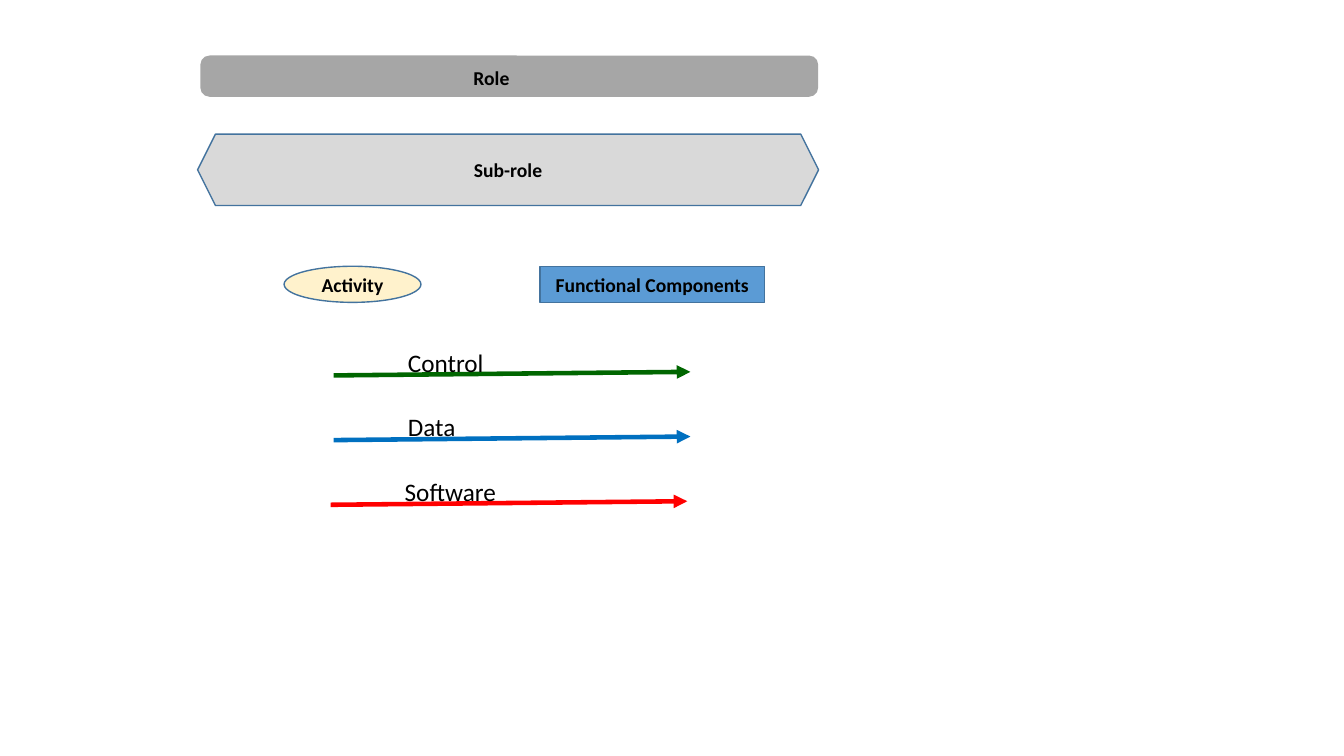
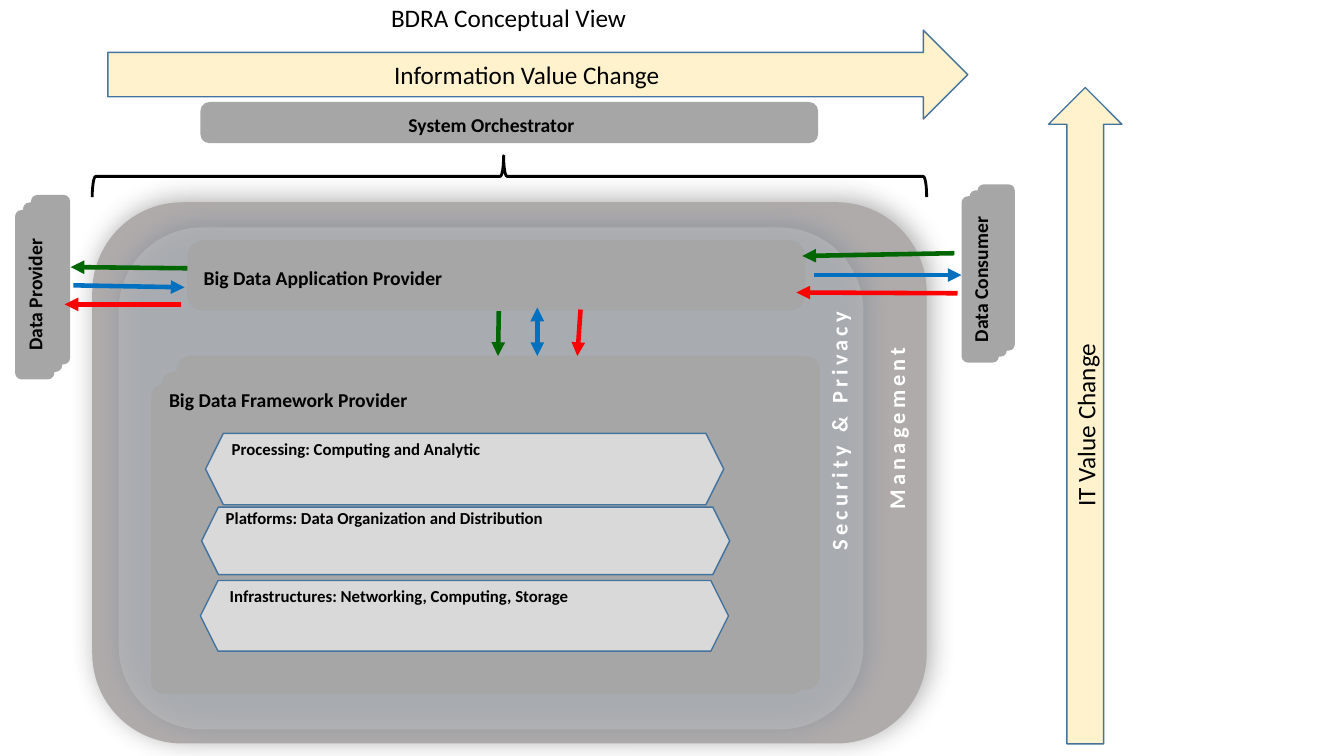
from lxml import etree
from pptx import Presentation
from pptx.dml.color import RGBColor
from pptx.enum.shapes import MSO_CONNECTOR, MSO_SHAPE
from pptx.enum.text import MSO_ANCHOR, MSO_AUTO_SIZE, PP_ALIGN
from pptx.oxml.ns import qn
from pptx.util import Cm, Pt

# Enum members
ROUNDED, HEXAGON = MSO_SHAPE.ROUNDED_RECTANGLE, MSO_SHAPE.HEXAGON
OVAL, RECTANGLE = MSO_SHAPE.OVAL, MSO_SHAPE.RECTANGLE
BLOCK_ARROW, BRACE = MSO_SHAPE.RIGHT_ARROW, MSO_SHAPE.RIGHT_BRACE
STRAIGHT = MSO_CONNECTOR.STRAIGHT
LEFT, CENTER = PP_ALIGN.LEFT, PP_ALIGN.CENTER
TOP, MIDDLE = MSO_ANCHOR.TOP, MSO_ANCHOR.MIDDLE
NO_AUTOFIT = MSO_AUTO_SIZE.NONE

# Colours
BLACK = RGBColor(0x00, 0x00, 0x00)
WHITE = RGBColor(0xFF, 0xFF, 0xFF)
GREY = RGBColor(0xA6, 0xA6, 0xA6)
LIGHT_GREY = RGBColor(0xD9, 0xD9, 0xD9)
WARM_GREY = RGBColor(0xAF, 0xAB, 0xAB)
VEIL_GREY = RGBColor(0xBF, 0xBF, 0xBF)
CREAM = RGBColor(0xFF, 0xF2, 0xCC)
BLUE = RGBColor(0x5B, 0x9B, 0xD5)
OUTLINE = RGBColor(0x43, 0x73, 0x9E)
DARK_SHADOW = RGBColor(0x3B, 0x38, 0x38)
BLUE_SHADOW = RGBColor(0x1F, 0x4E, 0x79)
CONTROL = RGBColor(0x00, 0x66, 0x00)
DATA = RGBColor(0x00, 0x70, 0xC0)
SOFTWARE = RGBColor(0xFF, 0x00, 0x00)


class Diagram:
    """Holds the style and the current slide."""
    font = "Calibri"
    title_only, blank = 5, 6
    upward = 270

    def __init__(self):
        self.deck = Presentation()
        self.deck.slide_width, self.deck.slide_height = Cm(33.87), Cm(19.05)
        self.page = None

    def new_page(self, layout):
        self.page = self.deck.slides.add_slide(self.deck.slide_layouts[layout])

    def set_text(self, box, text, size=14, bold=True, color=BLACK,
                 align=CENTER, anchor=MIDDLE, wrap=True, spacing=0):
        frame = box.text_frame
        frame.auto_size = NO_AUTOFIT
        frame.word_wrap = wrap
        frame.vertical_anchor = anchor
        para = frame.paragraphs[0]
        para.alignment = align
        span = para.add_run()
        span.text = text
        span.font.name, span.font.size = self.font, Pt(size)
        span.font.bold, span.font.color.rgb = bold, color
        if spacing:
            for properties in box.element.iter(qn("a:rPr")):
                properties.set("spc", str(spacing * 100))

    def title(self, text, x, y, w, h):
        box = self.page.shapes.title
        box.left, box.top, box.width, box.height = map(Cm, (x, y, w, h))
        self.set_text(box, text, 18, False, align=LEFT, anchor=TOP, wrap=False)

    def label(self, text, x, y, w, h=0.86, rotation=0, align=LEFT, **style):
        box = self.page.shapes.add_textbox(*map(Cm, (x, y, w, h)))
        box.rotation = rotation
        self.set_text(box, text, align=align, anchor=TOP, **style)

    def shape(self, kind, x, y, w, h, fill=None, line=None, line_width=1,
              rotation=0, adjust=()):
        shape = self.page.shapes.add_shape(kind, *map(Cm, (x, y, w, h)))
        shape.shadow.inherit = False
        shape.rotation = rotation
        for index, value in enumerate(adjust):
            shape.adjustments[index] = value
        if fill is None:
            shape.fill.background()
        else:
            shape.fill.solid()
            shape.fill.fore_color.rgb = fill
        if line is None:
            shape.line.fill.background()
        else:
            shape.line.color.rgb = line
            shape.line.width = Pt(line_width)
        return shape

    def panel(self, x, y, w, h, fill, shadow, opacity=100):
        """Large rounded panel with a soft shadow."""
        panel = self.shape(ROUNDED, x, y, w, h, fill, rotation=self.upward)
        properties = panel.element.spPr
        if opacity < 100:
            color = properties.find(qn("a:solidFill")).find(qn("a:srgbClr"))
            etree.SubElement(color, qn("a:alpha"), val=str(opacity * 1000))
        outer = etree.SubElement(
            properties.find(qn("a:effectLst")), qn("a:outerShdw"),
            blurRad=str(int(Pt(18))), dist=str(int(Pt(3))),
            dir=str(322 * 60000), algn="ctr", rotWithShape="0")
        color = etree.SubElement(outer, qn("a:srgbClr"), val=str(shadow))
        etree.SubElement(color, qn("a:alpha"), val="40000")

    def bar(self, x, y, w, h, radius=0.224):
        self.shape(ROUNDED, x, y, w, h, GREY, adjust=[radius])

    def role(self, text, y):
        self.bar(5.05, y, 15.57, 1.04)
        self.label(text, 9.25, y + 0.14, 6.27, align=CENTER)

    def hexagon(self, x, y, w, h):
        return self.shape(HEXAGON, x, y, w, h, LIGHT_GREY, OUTLINE)

    def card_stack(self, text, x, y, w, h, step_x, step_y):
        """Three upright cards; the front one carries the text."""
        for index in range(3):
            card = self.shape(ROUNDED, x + index * step_x, y + index * step_y,
                              w, h, GREY, rotation=self.upward)
        self.set_text(card, text)

    def value_arrow(self, text, x, y, w, h, rotation=0):
        arrow = self.shape(BLOCK_ARROW, x, y, w, h, CREAM, OUTLINE,
                           rotation=rotation)
        self.set_text(arrow, text, 18, False)

    def flow(self, color, x1, y1, x2, y2, both_ways=False):
        arrow = self.page.shapes.add_connector(
            STRAIGHT, *map(Cm, (x1, y1, x2, y2)))
        arrow.line.color.rgb = color
        arrow.line.width = Pt(3.25)
        properties = arrow.element.spPr
        outline = properties.find(qn("a:ln"))
        if both_ways:
            etree.SubElement(outline, qn("a:headEnd"), type="triangle")
        etree.SubElement(outline, qn("a:tailEnd"), type="triangle")
        etree.SubElement(properties, qn("a:effectLst"))


diagram = Diagram()

# Slide 1: legend
diagram.new_page(diagram.blank)
diagram.role("Role", 1.4)
diagram.set_text(diagram.hexagon(4.98, 3.38, 15.65, 1.8), "Sub-role")
activity = diagram.shape(OVAL, 7.16, 6.71, 3.45, 0.91, CREAM, OUTLINE)
diagram.set_text(activity, "Activity")
components = diagram.shape(RECTANGLE, 13.61, 6.71, 5.66, 0.91, BLUE, OUTLINE)
diagram.set_text(components, "Functional Components", wrap=False)

legend = [("Control", CONTROL, 8.41, 2.44), ("Data", DATA, 8.41, 1.73),
          ("Software", SOFTWARE, 8.33, 2.84)]
for row, (name, color, x, width) in enumerate(legend):
    y = 9.46 + row * 1.63
    diagram.flow(color, x, y, x + 8.99, y - 0.09)
    diagram.label(name, x + 1.62, y - 0.84, width, 1.02,
                  size=18, bold=False, wrap=False)

# Slide 2: conceptual view
diagram.new_page(diagram.title_only)
diagram.title("BDRA Conceptual View", 9.6, -0.08, 6.5, 1.02)

# Management and security panels
diagram.panel(6.02, 1.4, 13.64, 21.03, WARM_GREY, DARK_SHADOW)
diagram.panel(6.05, 2.67, 12.65, 18.77, VEIL_GREY, BLUE_SHADOW, opacity=51)
for name, x, y in [("Security & Privacy", 17.55, 10.06),
                   ("Management", 19, 9.02)]:
    diagram.label(name, x, y, 7.19, 0.94, diagram.upward,
                  size=16, color=WHITE, spacing=3)

# Orchestrator and its brace
diagram.role("System Orchestrator", 2.57)
diagram.shape(BRACE, 12.32, -6.07, 1.04, 21.03, line=BLACK, line_width=2,
              rotation=diagram.upward, adjust=[0.083, 0.493])

# Data consumer and data provider
diagram.card_stack("Data Consumer", 23.01, 6.27, 4.19, 0.94, -0.2, 0.15)
diagram.card_stack("Data Provider", -0.86, 6.55, 4.27, 0.99, -0.2, 0.19)

# Framework provider
for card in [(4.45, 8.97, 16.21, 8.41), (4.06, 9.37, 16.21, 8.13),
             (3.81, 9.68, 16.05, 7.8)]:
    diagram.bar(*card, radius=0.041)
diagram.label("Big Data Framework Provider", 4.01, 9.65, 7.65)
layers = [
    ("Processing: Computing and Analytic", (5.18, 10.92, 13.06, 1.8),
     5.59, 10.92),
    ("Platforms: Data Organization and Distribution",
     (5.08, 12.78, 13.31, 1.7), 5.44, 12.67),
    ("Infrastructures: Networking, Computing, Storage",
     (5.05, 14.63, 13.31, 1.78), 5.54, 14.63),
]
for name, place, x, y in layers:
    diagram.hexagon(*place)
    diagram.label(name, x, y, 12.65, 0.76, size=12)

# Application provider
diagram.bar(4.72, 6.05, 15.57, 1.78)
diagram.label("Big Data Application Provider", 4.88, 6.58, 15.34)

# Flows to the provider, the consumer and the framework
flows = [
    (CONTROL, 4.72, 6.76, 1.78, 6.73),
    (DATA, 1.85, 7.19, 4.65, 7.24),
    (SOFTWARE, 4.57, 7.67, 1.63, 7.67),
    (CONTROL, 24.05, 6.38, 20.22, 6.45),
    (DATA, 20.52, 6.93, 24.23, 6.93),
    (SOFTWARE, 24.13, 7.39, 20.07, 7.37),
    (CONTROL, 12.57, 7.84, 12.55, 8.97),
    (DATA, 13.54, 8.97, 13.54, 7.75, True),
    (SOFTWARE, 14.63, 7.8, 14.55, 8.97),
]
for flow in flows:
    diagram.flow(*flow)

# Value arrows
diagram.value_arrow("Information Value Change", 2.72, 0.76, 21.67, 2.24)
diagram.value_arrow("IT Value Change", 19.08, 9.55, 16.54, 1.85,
                    diagram.upward)

diagram.deck.save("out.pptx")
